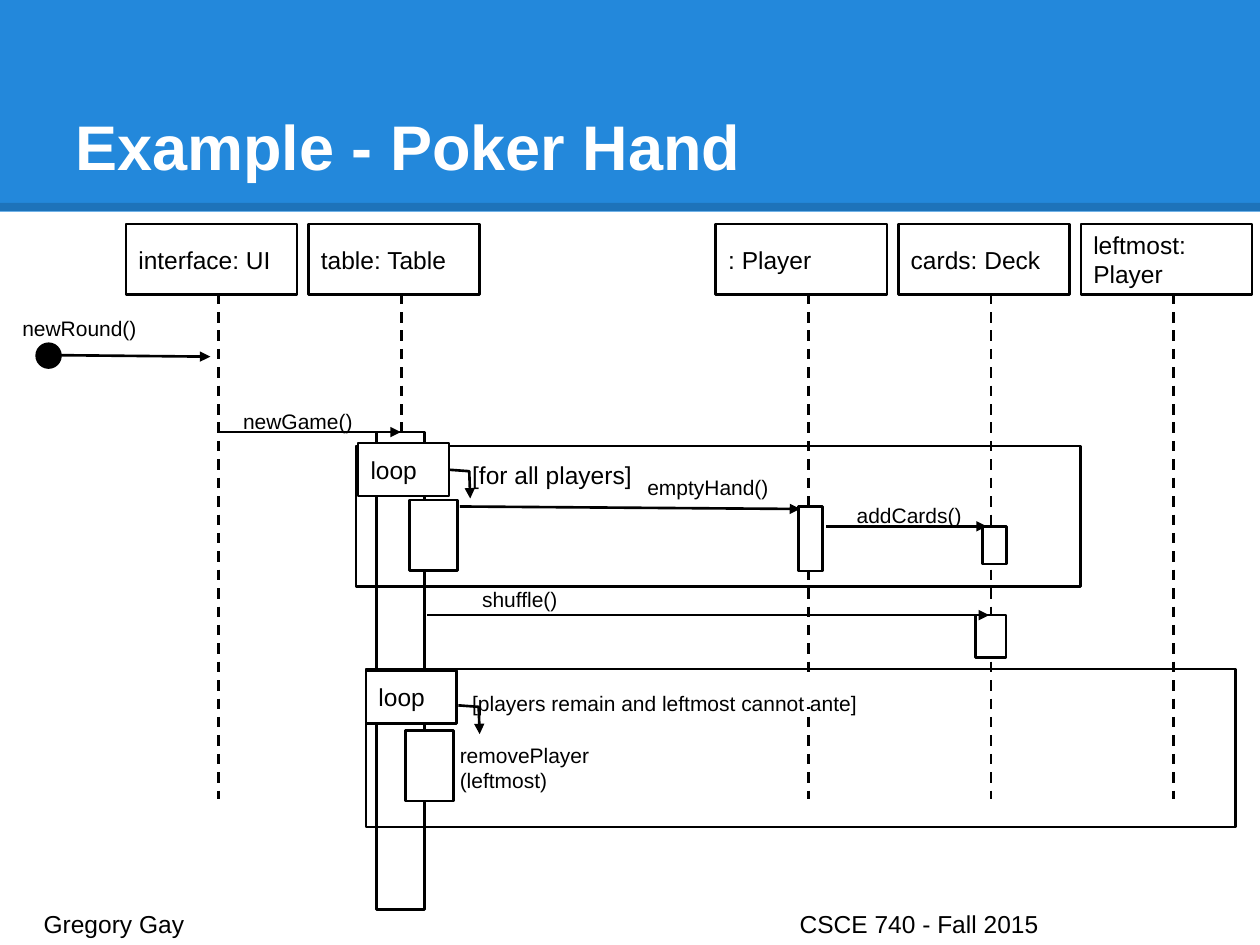
"""Builds a sequence diagram slide for one hand of poker."""
import pptx
import pptx.dml.color
import pptx.enum.dml
import pptx.enum.shapes
import pptx.enum.text
import pptx.oxml.ns
import pptx.util
from lxml import etree

Cm = pptx.util.Cm
qn = pptx.oxml.ns.qn
Shapes = pptx.enum.shapes.MSO_SHAPE
Anchor = pptx.enum.text.MSO_ANCHOR
Align = pptx.enum.text.PP_ALIGN


def color(value):
    return pptx.dml.color.RGBColor.from_string(value)


class SequenceDiagram:
    font = "Arial"
    ink = "000000"
    paper = "FFFFFF"
    accent = "2388DB"
    line_width = 1.5
    inset = 0.25

    def __init__(self, slide):
        self.slide = slide

    def set_text(self, shape, text, size, anchor=Anchor.TOP, ink=ink, bold=False):
        frame = shape.text_frame
        frame.word_wrap = True
        frame.auto_size = pptx.enum.text.MSO_AUTO_SIZE.NONE
        frame.vertical_anchor = anchor
        frame.margin_left = frame.margin_right = Cm(self.inset)
        frame.margin_top = frame.margin_bottom = Cm(self.inset)
        frame.text = text
        paragraph = frame.paragraphs[0]
        paragraph.alignment = Align.LEFT
        paragraph.font.name = self.font
        paragraph.font.size = pptx.util.Pt(size)
        paragraph.font.bold = bold
        paragraph.font.color.rgb = color(ink)

    def stroke(self, shape, width=line_width):
        shape.line.color.rgb = color(self.ink)
        shape.line.width = pptx.util.Pt(width)

    def arrowhead(self, shape):
        line = shape._element.spPr.find(qn("a:ln"))
        etree.SubElement(line, qn("a:tailEnd"), type="triangle")

    def title(self, text):
        shape = self.slide.shapes.title
        shape.left, shape.top, shape.width, shape.height = Cm(1.27), Cm(0.76), Cm(22.86), Cm(3.18)
        self.set_text(shape, text, 36, Anchor.BOTTOM, self.paper, True)

    def band(self, height):
        shape = self.box(0, 0, 25.4, height, fill=self.accent, outlined=False)
        rule = self.line(0, height - 0.1, 25.4, height - 0.1, 4.5)
        rule_color = next(rule._element.spPr.iter(qn("a:srgbClr")))
        etree.SubElement(rule_color, qn("a:alpha"), val="15000")
        tree = self.slide.shapes._spTree
        for position, item in enumerate((shape, rule), start=2):
            tree.insert(position, item._element)

    def box(self, left, top, width, height, text="", fill=paper, outlined=True, kind=Shapes.RECTANGLE):
        shape = self.slide.shapes.add_shape(kind, Cm(left), Cm(top), Cm(width), Cm(height))
        shape.shadow.inherit = False
        if fill:
            shape.fill.solid()
            shape.fill.fore_color.rgb = color(fill)
        else:
            shape.fill.background()
        if outlined:
            self.stroke(shape)
        else:
            shape.line.fill.background()
        if text:
            self.set_text(shape, text, 14, Anchor.MIDDLE)
        return shape

    def label(self, left, top, width, height, text, size=12):
        shape = self.slide.shapes.add_textbox(Cm(left), Cm(top), Cm(width), Cm(height))
        self.set_text(shape, text, size)
        return shape

    def line(self, x1, y1, x2, y2, width=line_width, dashed=False):
        connector = self.slide.shapes.add_connector(
            pptx.enum.shapes.MSO_CONNECTOR.STRAIGHT, Cm(x1), Cm(y1), Cm(x2), Cm(y2))
        self.stroke(connector, width)
        if dashed:
            connector.line.dash_style = pptx.enum.dml.MSO_LINE.DASH
        etree.SubElement(connector._element.spPr, qn("a:effectLst"))
        return connector

    def message(self, *ends):
        self.arrowhead(self.line(*ends))

    def participant(self, column_left, name):
        self.line(column_left + 1.87, 5.92, column_left + 1.87, 16.1, dashed=True)
        self.box(column_left, 4.52, 3.45, 1.42, name)

    def loop(self, frame, tag_left, tag_top):
        self.box(*frame, fill=None)
        self.box(tag_left, tag_top, 1.83, 1.07, "loop")

    def self_call(self, left, top):
        builder = self.slide.shapes.build_freeform(Cm(left), Cm(top))
        corners = [(0.41, 0.03), (0.43, 0.58)]
        builder.add_line_segments([(Cm(left + x), Cm(top + y)) for x, y in corners], close=False)
        shape = builder.convert_to_shape()
        shape.shadow.inherit = False
        shape.fill.background()
        self.stroke(shape)
        self.arrowhead(shape)

    def footer(self, author, course):
        shape = self.label(0.63, 18.08, 24.16, 0.76, f"{author}\t{course}", 14)
        properties = shape.text_frame.paragraphs[0]._p.get_or_add_pPr()
        tabs = etree.Element(qn("a:tabLst"))
        etree.SubElement(tabs, qn("a:tab"), pos=str(Cm(15.24)), algn="l")
        properties.insert(0, tabs)


def main():
    presentation = pptx.Presentation()
    presentation.slide_width, presentation.slide_height = Cm(25.4), Cm(19.05)
    slide = presentation.slides.add_slide(presentation.slide_layouts[5])
    diagram = SequenceDiagram(slide)
    diagram.band(4.27)
    diagram.title("Example - Poker Hand")
    diagram.footer("Gregory Gay", "CSCE 740 - Fall 2015")

    groups = [(2.54, ["interface: UI", "table: Table"]),
              (14.43, [": Player", "cards: Deck", "leftmost: Player"])]
    for group_left, names in groups:
        for index, name in enumerate(names):
            diagram.participant(group_left + 3.68 * index, name)

    diagram.box(0.74, 6.93, 0.48, 0.48, fill=diagram.ink, kind=Shapes.OVAL)
    diagram.message(1.22, 7.16, 4.24, 7.19)
    diagram.label(0.2, 6.12, 5.08, 0.86, "newRound()")

    diagram.box(7.59, 8.71, 0.97, 9.63)
    diagram.message(4.4, 8.71, 8.08, 8.71)
    diagram.label(4.65, 7.98, 2.72, 0.5, "newGame()")

    diagram.loop((7.18, 8.99, 14.6, 2.84), 7.22, 8.93)
    diagram.label(9.27, 9.02, 4.42, 0.86, "[for all players]", 14)
    diagram.box(8.25, 10.08, 0.97, 1.42)
    diagram.self_call(9.05, 9.47)
    diagram.box(16.1, 10.21, 0.48, 1.3)
    diagram.box(19.81, 10.61, 0.48, 0.76)
    diagram.message(9.27, 10.21, 16.13, 10.26)
    diagram.label(12.8, 9.32, 3.45, 0.5, "emptyHand()")
    diagram.message(16.66, 10.61, 19.89, 10.61)
    diagram.label(17.02, 9.88, 2.72, 0.5, "addCards()")

    diagram.box(19.67, 12.4, 0.61, 0.86)
    diagram.message(8.61, 12.4, 19.94, 12.4)
    diagram.label(9.47, 11.58, 3, 0.5, "shuffle()")

    diagram.loop((7.38, 13.49, 17.53, 3.18), 7.38, 13.52)
    condition = diagram.box(9.27, 13.67, 8.69, 0.58, outlined=False)
    diagram.set_text(condition, "[players remain and leftmost cannot ante]", 12)
    diagram.box(8.18, 14.73, 0.97, 1.42)
    diagram.self_call(9.24, 14.22)
    diagram.label(9.02, 14.71, 3.2, 0.5, "removePlayer(leftmost)")

    presentation.save("out.pptx")


if __name__ == "__main__":
    main()
